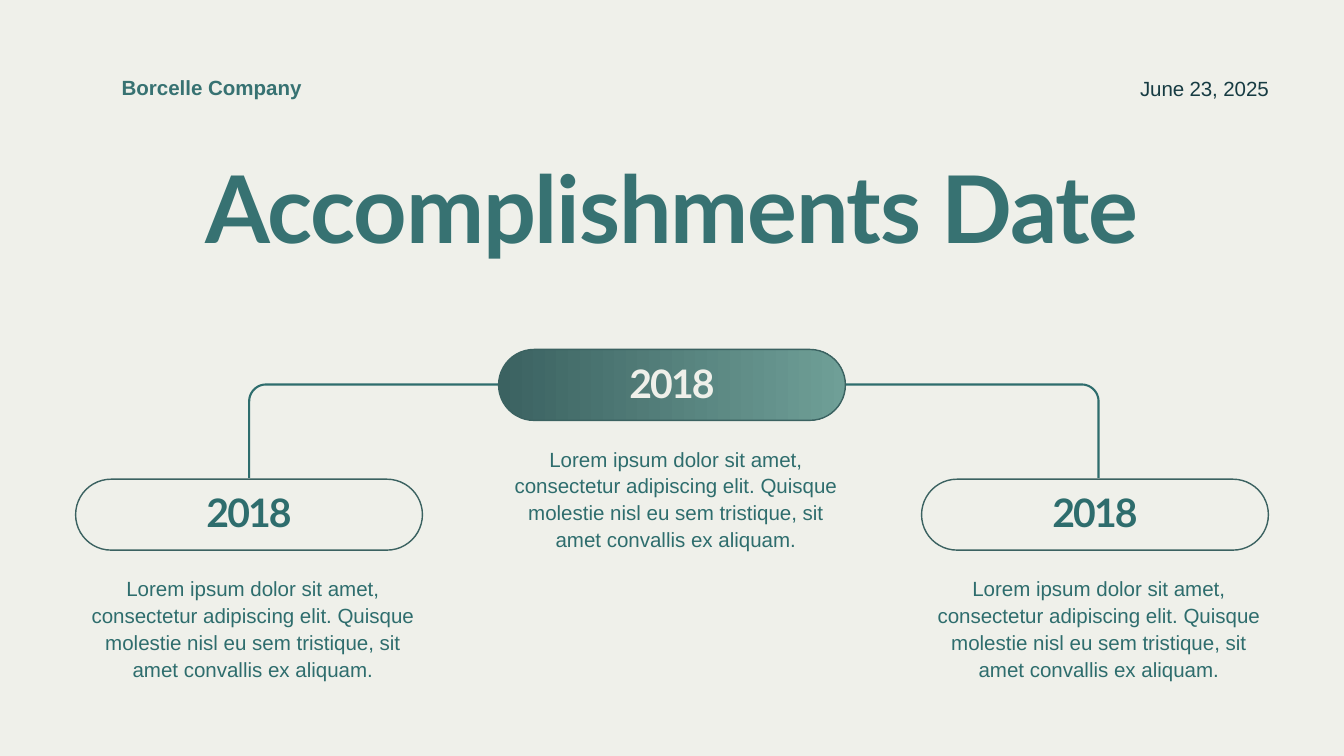
"""Build the accomplishments timeline slide with three dated milestones."""
from dataclasses import dataclass
from math import cos, radians, sin

from pptx import Presentation
from pptx.dml.color import RGBColor as Rgb
from pptx.enum.shapes import MSO_SHAPE as Shape
from pptx.enum.text import MSO_ANCHOR as Anchor, MSO_AUTO_SIZE as Auto, PP_ALIGN as Align
from pptx.util import Pt


@dataclass(frozen=True)
class Theme:
    paper: Rgb = Rgb.from_string("EFF0EA")
    ink: Rgb = Rgb.from_string("163B42")
    head: Rgb = Rgb.from_string("377272")
    teal: Rgb = Rgb.from_string("2E6D6D")
    dark: Rgb = Rgb.from_string("3B6261")
    light: Rgb = Rgb.from_string("6F9F97")
    sans: str = "Arial"
    round: str = "Lato"
    title: int = 100
    year: int = 42
    text: int = 22


theme = Theme()


def write(shape, text, face, size, color, lead, align=Align.CENTER, bold=False, track=0):
    frame = shape.text_frame
    frame.text = text
    frame.word_wrap = True
    frame.auto_size = Auto.NONE
    frame.vertical_anchor = Anchor.TOP
    frame.margin_left = frame.margin_right = frame.margin_top = frame.margin_bottom = 0
    para = frame.paragraphs[0]
    para.alignment = align
    para.line_spacing = Pt(lead)
    para.space_before = Pt(0)
    run = para.runs[0]
    run.font.name = face
    run.font.size = Pt(size)
    run.font.bold = bold
    run.font.color.rgb = color
    if track:
        run._r.get_or_add_rPr().set("spc", str(round(track * 100)))


def box(left, top, width, height):
    return slide.shapes.add_textbox(Pt(left), Pt(top), Pt(width), Pt(height))


deck = Presentation()
deck.slide_width, deck.slide_height = Pt(1440), Pt(810)
slide = deck.slides.add_slide(deck.slide_layouts[5])
slide.background.fill.solid()
slide.background.fill.fore_color.rgb = theme.paper

title = slide.shapes.title
title.left, title.top, title.width, title.height = Pt(158.4), Pt(189.4), Pt(1123.2), Pt(100)
write(title, "Accomplishments Date", theme.round, theme.title, theme.head, 92,
      bold=True, track=-1.3)

write(box(1157.8, 83.5, 201.6, 23.8), "June 23, 2025", theme.sans, theme.text, theme.ink,
      23.8, Align.RIGHT, track=-0.1)
write(box(130.3, 86.4, 280, 20.9), "Borcelle Company", theme.sans, theme.text, theme.head,
      19.8, Align.LEFT, bold=True)

west, east, north, south, bend = 267, 1177, 412, 512, 18
route = []
for hub, start in ((west + bend, 180), (east - bend, 270)):
    for step in range(0, 91, 6):
        angle = radians(start + step)
        route.append((Pt(hub + bend * cos(angle)), Pt(north + bend + bend * sin(angle))))
route.append((Pt(east), Pt(south)))
pen = slide.shapes.build_freeform(Pt(west), Pt(south))
pen.add_line_segments(route, close=False)
track = pen.convert_to_shape()
track.shadow.inherit = False
track.fill.background()
track.line.color.rgb = theme.teal
track.line.width = Pt(2.25)

wide, tall, gap = 371.6, 76, 453.2
first = 720 - gap - wide / 2
blurb = ("Lorem ipsum dolor sit amet, consectetur adipiscing elit. "
         "Quisque molestie nisl eu sem tristique, sit amet convallis ex aliquam.")
stops = (("2018", 513.4, False), ("2018", 374.4, True), ("2018", 513.4, False))

for index, (year, top, main) in enumerate(stops):
    left = first + index * gap
    pill = slide.shapes.add_shape(Shape.ROUNDED_RECTANGLE, Pt(left), Pt(top), Pt(wide), Pt(tall))
    pill.adjustments[0] = 0.5
    pill.shadow.inherit = False
    pill.line.color.rgb = theme.dark
    pill.line.width = Pt(1.5)
    if main:
        pill.fill.gradient()
        pill.fill.gradient_angle = 0
        for stop, color in zip(pill.fill.gradient_stops, (theme.dark, theme.light)):
            stop.color.rgb = color
    else:
        pill.fill.solid()
        pill.fill.fore_color.rgb = theme.paper
    write(pill, year, theme.round, theme.year, theme.paper if main else theme.teal, 42,
          bold=True, track=-2.1)
    pill.text_frame.vertical_anchor = Anchor.MIDDLE
    pill.text_frame.margin_top = Pt(3)
    write(box(left + 8, top + 102, 363.6, 113), blurb, theme.sans, theme.text, theme.teal, 28.6)

deck.save("out.pptx")
